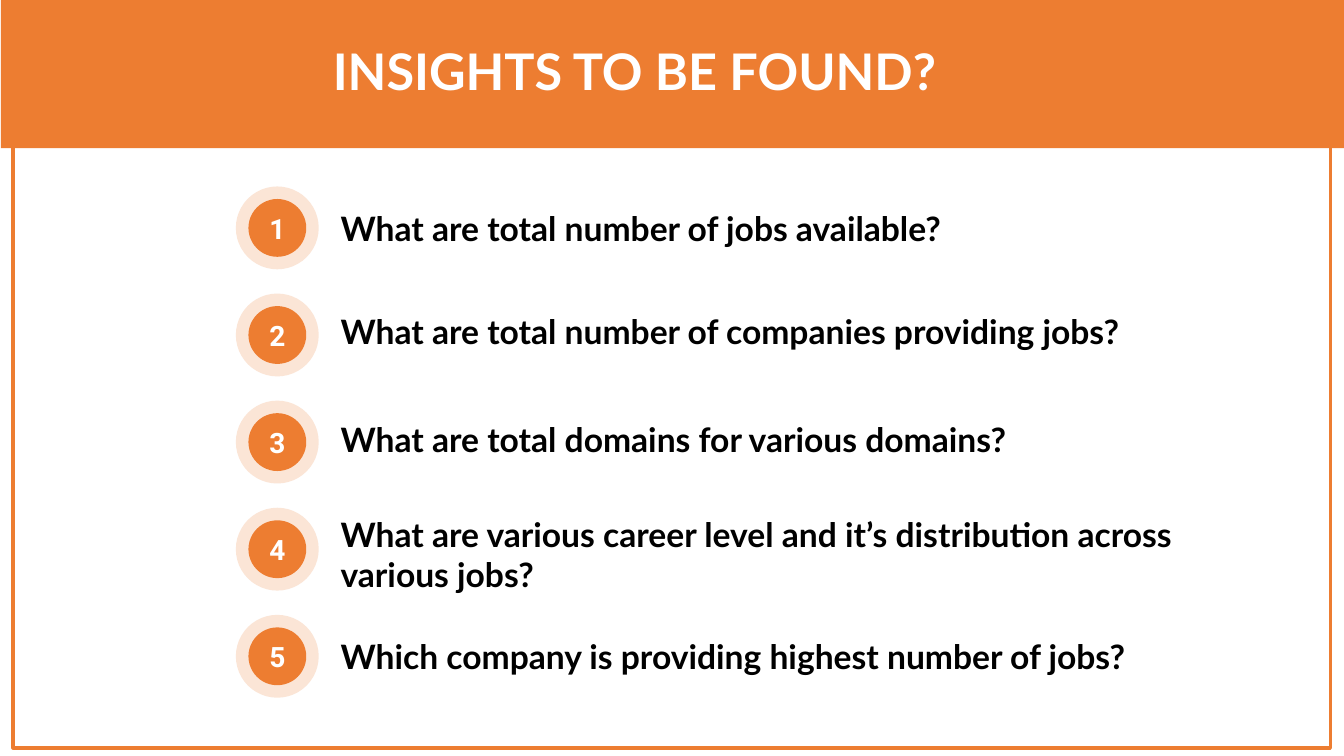
import pptx
import pptx.dml.color
import pptx.enum.shapes
import pptx.enum.text
import pptx.util

Pt = pptx.util.Pt
SHAPES = pptx.enum.shapes.MSO_SHAPE
ALIGN = pptx.enum.text.PP_ALIGN
MIDDLE = pptx.enum.text.MSO_ANCHOR.MIDDLE

ORANGE, PEACH, WHITE, BLACK = "ED7D31", "FBE5D6", "FFFFFF", "000000"
ROW_PITCH = 76.5
HALO_SIZE, DISC_SIZE = 59.2, 41.3

# Question, number of lines, vertical shift from the centre of its badge
QUESTIONS = [
    ("What are total number of jobs available?", 1, 0),
    ("What are total number of companies providing jobs?", 1, -3),
    ("What are total domains for various domains?", 1, -2.5),
    ("What are various career level and it’s distribution across various jobs?", 2, 3.5),
    ("Which company is providing highest number of jobs?", 1, 0),
]


def rgb(colour):
    return pptx.dml.color.RGBColor.from_string(colour)


def add_filled(slide, kind, left, top, width, height, colour):
    filled = slide.shapes.add_shape(kind, Pt(left), Pt(top), Pt(width), Pt(height))
    filled.shadow.inherit = False
    filled.fill.solid()
    filled.fill.fore_color.rgb = rgb(colour)
    filled.line.fill.background()
    return filled


def write(holder, text, size, font, colour, align):
    frame = holder.text_frame
    frame.text = text
    frame.word_wrap = True
    frame.vertical_anchor = MIDDLE
    paragraph = frame.paragraphs[0]
    paragraph.alignment = align
    paragraph.font.size = Pt(size)
    paragraph.font.name = font
    paragraph.font.bold = True
    paragraph.font.color.rgb = rgb(colour)
    return frame


def add_border(slide, left, top, width, height):
    border = add_filled(slide, SHAPES.RECTANGLE, left, top, width, height, WHITE)
    border.line.color.rgb = rgb(ORANGE)
    border.line.width = Pt(2.25)


def add_header(slide, left, top, width, height):
    banner = add_filled(slide, SHAPES.RECTANGLE, left, top, width, height, ORANGE)
    title = slide.shapes.title
    banner.element.addnext(title.element)  # bring the title in front of the banner
    title.left, title.top = Pt(left + 203), Pt(top + 27.4)
    title.width, title.height = Pt(499), Pt(51)
    write(title, "INSIGHTS TO BE FOUND?", 36, "Lato", WHITE, ALIGN.CENTER)


def add_badge(slide, centre_x, centre_y, number):
    for size, colour in ((HALO_SIZE, PEACH), (DISC_SIZE, ORANGE)):
        disc = add_filled(slide, SHAPES.OVAL, centre_x - size / 2, centre_y - size / 2,
                          size, size, colour)
    frame = write(disc, str(number), 20, "Roboto", WHITE, ALIGN.CENTER)
    frame.margin_left = frame.margin_right = frame.margin_top = frame.margin_bottom = 0


def add_questions(slide, left, top, width):
    for row, (question, lines, shift) in enumerate(QUESTIONS):
        centre_y = top + HALO_SIZE / 2 + row * ROW_PITCH
        add_badge(slide, left + HALO_SIZE / 2, centre_y, row + 1)
        height = 7.2 + 28.8 * lines
        text_left = left + 67.7
        box = slide.shapes.add_textbox(Pt(text_left), Pt(centre_y + shift - height / 2),
                                       Pt(left + width - text_left), Pt(height))
        write(box, question, 24, "Lato", BLACK, ALIGN.LEFT)


def main():
    deck = pptx.Presentation()
    deck.slide_width, deck.slide_height = Pt(960), Pt(540)
    slide = deck.slides.add_slide(deck.slide_layouts[5])
    add_border(slide, 9.36, 6.48, 941, 527.8)
    add_header(slide, 0.72, -2.9, 960, 108.7)
    add_questions(slide, 168.5, 133.2, 693.4)
    deck.save("out.pptx")


if __name__ == "__main__":
    main()
